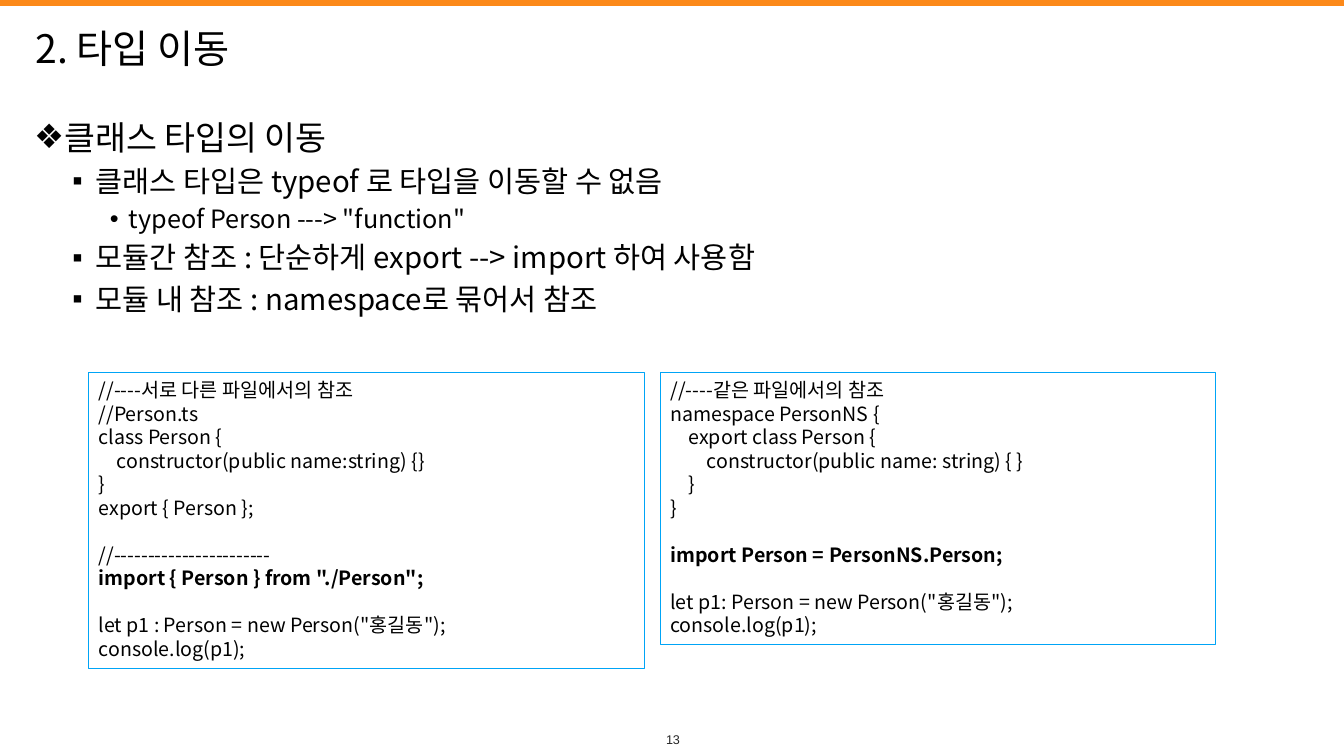
from lxml import etree
from pptx import Presentation
from pptx.dml.color import RGBColor
from pptx.enum.shapes import MSO_SHAPE
from pptx.enum.text import MSO_ANCHOR, MSO_AUTO_SIZE, PP_ALIGN
from pptx.oxml.ns import qn
from pptx.util import Inches, Pt

RECTANGLE = MSO_SHAPE.RECTANGLE
TOP, MIDDLE = MSO_ANCHOR.TOP, MSO_ANCHOR.MIDDLE
LEFT, CENTER = PP_ALIGN.LEFT, PP_ALIGN.CENTER
FIT_SHAPE = MSO_AUTO_SIZE.SHAPE_TO_FIT_TEXT

COLORS = {
    "text": "000000",
    "number": "262626",
    "bar": "FC8919",
    "code_fill": "FFFFFF",
    "code_line": "00A4F6",
}
FONT = "Noto Sans CJK KR"
NUMBER_FONT = "Arial"
CODE_SIZE = 14
CODE_GAP = 16.8
CODE_INDENT = 0.18

BULLET_LEVELS = [("❖", 24, 0.28, -0.28), ("▪", 21, 0.61, -0.23), ("•", 18, 0.94, -0.19)]
BULLETS = [
    (0, "클래스 타입의 이동"),
    (1, "클래스 타입은 typeof 로 타입을 이동할 수 없음"),
    (2, 'typeof Person ---> "function"'),
    (1, "모듈간 참조 : 단순하게 export --> import 하여 사용함"),
    (1, "모듈 내 참조 : namespace로 묶어서 참조"),
]

MODULE_CODE = """//----서로 다른 파일에서의 참조
//Person.ts
class Person {
\tconstructor(public name:string) {}
}
export { Person };

//-----------------------
import { Person } from "./Person";

let p1 : Person = new Person("홍길동");
console.log(p1);"""

NAMESPACE_CODE = """//----같은 파일에서의 참조
namespace PersonNS {
\texport class Person {
\t\tconstructor(public name: string) { }
\t}
}

import Person = PersonNS.Person;

let p1: Person = new Person("홍길동");
console.log(p1);"""


class SlideBuilder:
    def __init__(self, presentation):
        self.slide = presentation.slides.add_slide(presentation.slide_layouts[5])

    def color(self, name):
        return RGBColor.from_string(COLORS[name])

    def place(self, shape, left, top, width, height):
        shape.left, shape.top = Inches(left), Inches(top)
        shape.width, shape.height = Inches(width), Inches(height)

    def style_text(self, paragraph, text, size, color="text", font=FONT, align=LEFT):
        paragraph.text = text
        paragraph.alignment = align
        paragraph.font.size = Pt(size)
        paragraph.font.name = font
        paragraph.font.color.rgb = self.color(color)
        properties = paragraph._p.pPr.find(qn("a:defRPr"))
        etree.SubElement(properties, qn("a:ea"), typeface=font)

    def indent(self, paragraph, margin, first_line=0):
        properties = paragraph._p.get_or_add_pPr()
        properties.set("marL", str(Inches(margin)))
        properties.set("indent", str(Inches(first_line)))
        return properties

    def paragraphs(self, frame, items):
        for index, item in enumerate(items):
            yield (frame.add_paragraph() if index else frame.paragraphs[0]), item

    def rectangle(self, box, fill, line=None):
        shape = self.slide.shapes.add_shape(RECTANGLE, *map(Inches, box))
        shape.shadow.inherit = False
        shape.fill.solid()
        shape.fill.fore_color.rgb = self.color(fill)
        if line:
            shape.line.color.rgb = self.color(line)
            shape.line.width = Pt(0.75)
        else:
            shape.line.fill.background()
        return shape

    def title(self, text, box):
        title = self.slide.shapes.title
        self.place(title, *box)
        title.text_frame.vertical_anchor = MIDDLE
        self.style_text(title.text_frame.paragraphs[0], text, 28)

    def bullets(self, items, box):
        frame = self.slide.shapes.add_textbox(*map(Inches, box)).text_frame
        frame.word_wrap = True
        for paragraph, (level, text) in self.paragraphs(frame, items):
            symbol, size, margin, first_line = BULLET_LEVELS[level]
            paragraph.level = level
            paragraph.space_before = Pt(0.2 * size if level else 0)
            properties = self.indent(paragraph, margin, first_line)
            etree.SubElement(properties, qn("a:buFont"), typeface=NUMBER_FONT)
            etree.SubElement(properties, qn("a:buChar"), char=symbol)
            self.style_text(paragraph, text, size)

    def code(self, source, box):
        frame = self.rectangle(box, "code_fill", "code_line").text_frame
        frame.word_wrap = True
        frame.auto_size = FIT_SHAPE
        frame.vertical_anchor = TOP
        lines = []
        gap = 0
        for line in source.split("\n"):
            if line:
                lines.append((line, gap))
            gap = 0 if line else CODE_GAP
        for paragraph, (line, space) in self.paragraphs(frame, lines):
            text = line.lstrip("\t")
            self.style_text(paragraph, text, CODE_SIZE)
            self.indent(paragraph, CODE_INDENT * (len(line) - len(text)))
            paragraph.space_before = Pt(space)
            paragraph.font.bold = text.startswith("import")

    def page_number(self, text, box):
        frame = self.slide.shapes.add_textbox(*map(Inches, box)).text_frame
        frame.margin_left = frame.margin_right = 0
        frame.margin_top = frame.margin_bottom = 0
        frame.vertical_anchor = MIDDLE
        self.style_text(frame.paragraphs[0], text, 9, "number", NUMBER_FONT, CENTER)


def main():
    presentation = Presentation()
    presentation.slide_width = Inches(13.33)
    presentation.slide_height = Inches(7.5)
    builder = SlideBuilder(presentation)
    builder.page_number("13", (6.48, 7.25, 0.39, 0.17))
    builder.rectangle((0, 0, 13.33, 0.06), "bar")
    builder.title("2. 타입 이동", (0.25, 0.15, 12, 0.65))
    builder.bullets(BULLETS, (0.24, 1.11, 12.85, 5.98))
    builder.code(MODULE_CODE, (0.88, 3.7, 5.51, 2.93))
    builder.code(NAMESPACE_CODE, (6.55, 3.7, 5.51, 2.69))
    presentation.save("out.pptx")


if __name__ == "__main__":
    main()
